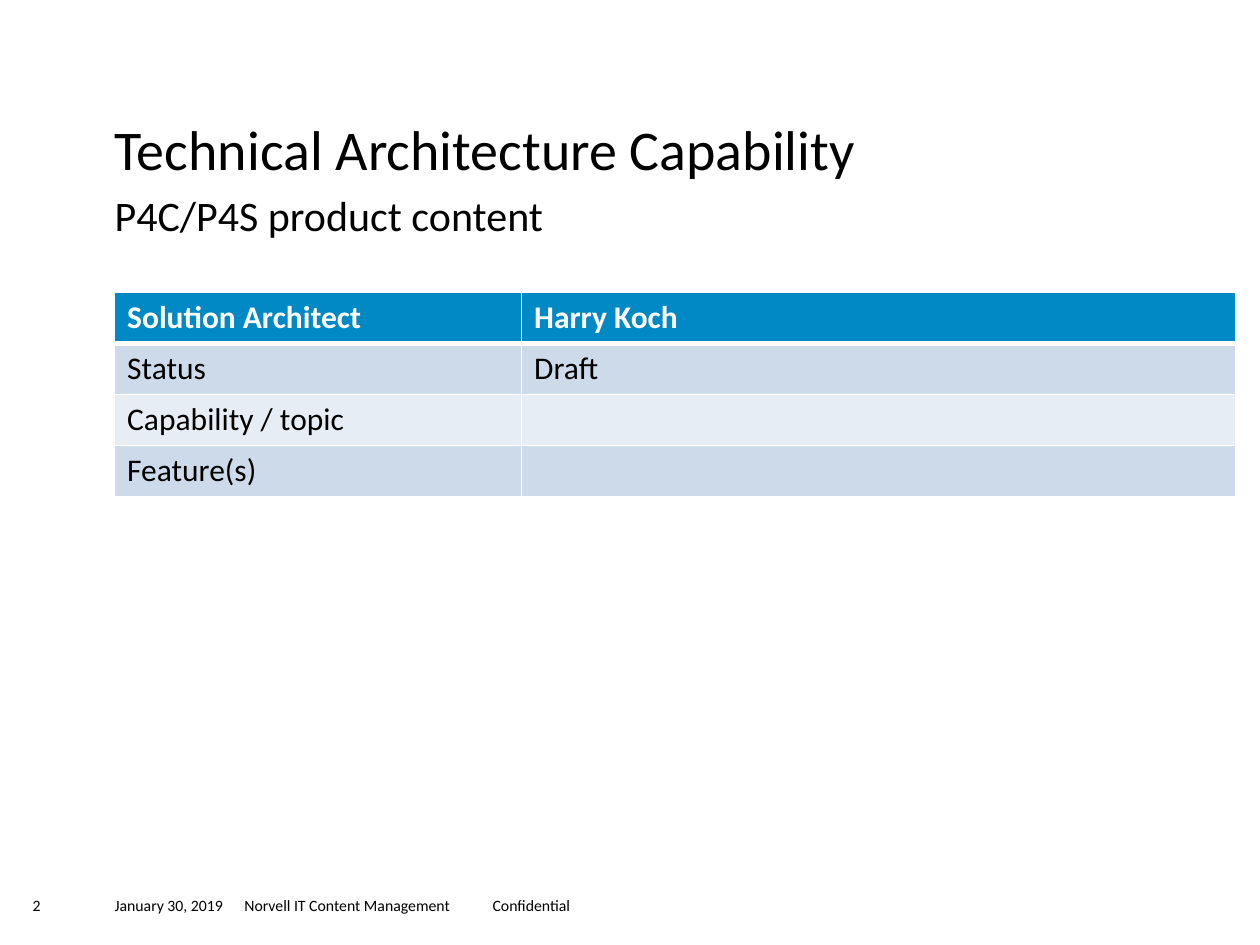
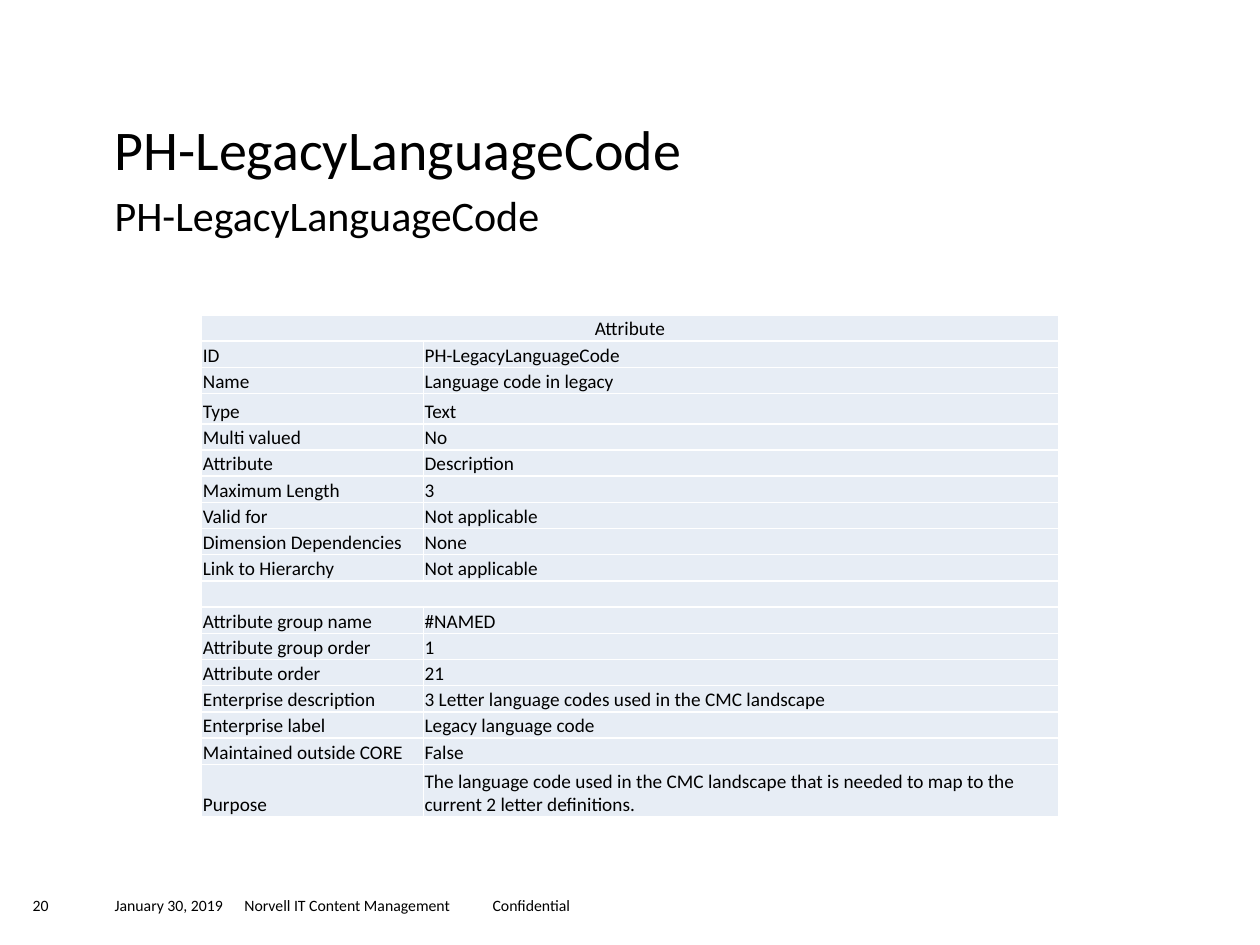
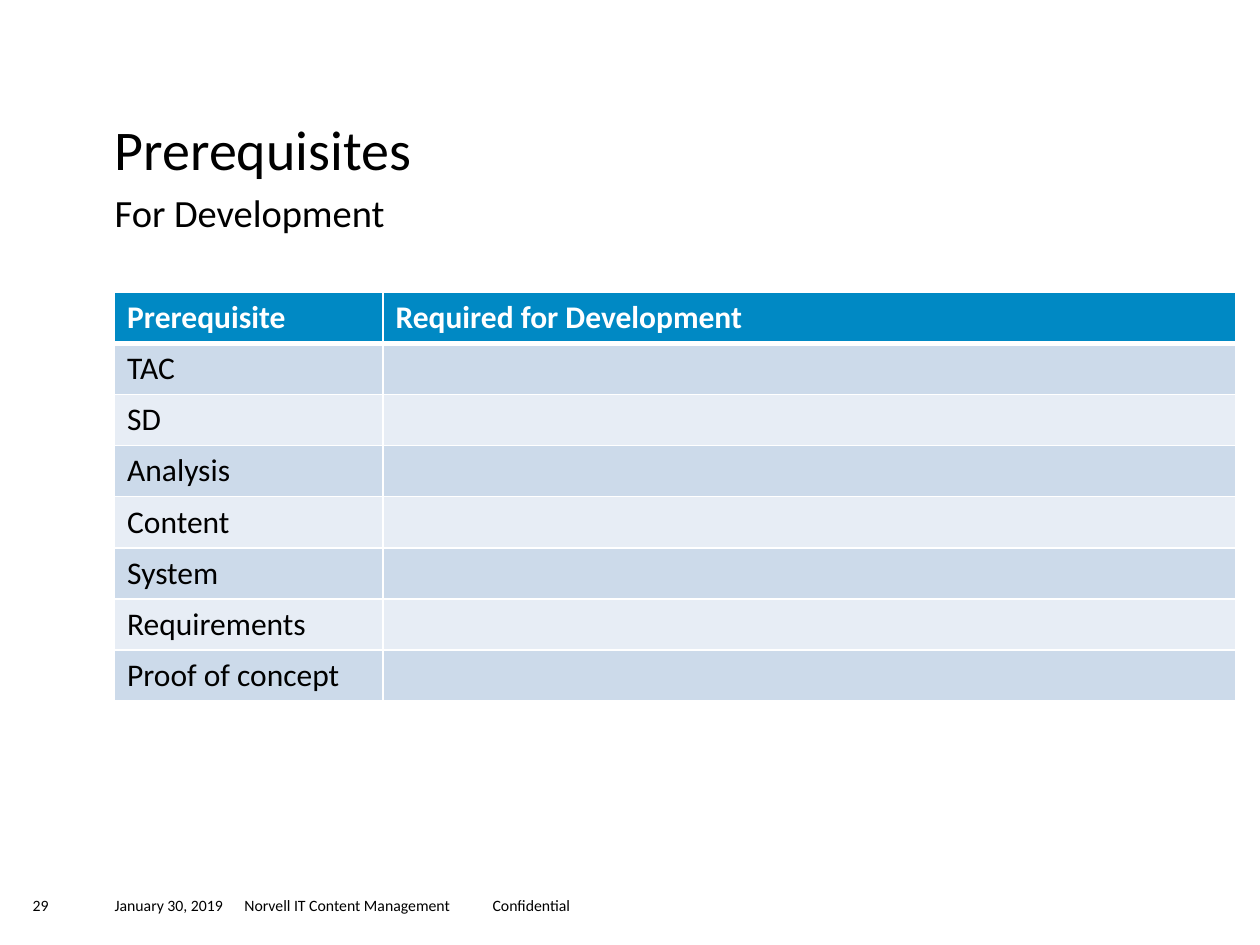
import pptx
import pptx.util
import pptx.dml.color
import pptx.enum.text
import pptx.oxml.ns
from lxml import etree

Inches = pptx.util.Inches
Pt = pptx.util.Pt
RGB = pptx.dml.color.RGBColor.from_string
qn = pptx.oxml.ns.qn
ANCHOR = pptx.enum.text.MSO_ANCHOR
ALIGN = pptx.enum.text.PP_ALIGN

FONT = "Calibri"
COLORS = {"text": "000000", "white": "FFFFFF", "head": "0089C4",
          "band": "CCDAEA", "light": "E7EDF5"}
LEFT = 0.91

slides = [
    {
        "number": "2", "title": "Technical Architecture Capability",
        "subtitle": "P4C/P4S product content", "subtitle_size": 24,
        "banded": True, "at": (LEFT, 2.32), "cols": (3.23, 5.67),
        "rows": [
            ("Solution Architect", "Harry Koch"),
            ("Status", "Draft"),
            ("Capability / topic", ""),
            ("Feature(s)", ""),
        ],
    },
    {
        "number": "20", "title": "PH-LegacyLanguageCode",
        "subtitle": "PH-LegacyLanguageCode", "subtitle_size": 24,
        "banded": False, "at": (1.6, 2.5), "cols": (1.76, 5.04),
        "rows": [
            ("Attribute",),
            ("ID", "PH-LegacyLanguageCode"),
            ("Name", "Language code in legacy"),
            ("Type", "Text"),
            ("Multi valued", "No"),
            ("Attribute", "Description"),
            ("Maximum Length", "3"),
            ("Valid for", "Not applicable"),
            ("Dimension Dependencies", "None"),
            ("Link to Hierarchy", "Not applicable"),
            ("",),
            ("Attribute group name", "#NAMED"),
            ("Attribute group order", "1"),
            ("Attribute order", "21"),
            ("Enterprise description",
             "3 Letter language codes used in the CMC landscape"),
            ("Enterprise label", "Legacy language code"),
            ("Maintained outside CORE", "False"),
            ("Purpose", "The language code used in the CMC landscape that is "
             "needed to map to the current 2 letter definitions."),
        ],
        "heights": {3: 0.24, 17: 0.42},
    },
    {
        "number": "29", "title": "Prerequisites",
        "subtitle": "For Development", "subtitle_size": 22,
        "banded": True, "at": (LEFT, 2.32), "cols": (2.13, 6.77),
        "rows": [("Prerequisite", "Required for Development")] + [
            (name, "") for name in ("TAC", "SD", "Analysis", "Content",
                                    "System", "Requirements",
                                    "Proof of concept")],
    },
]


def write(sp, box, text, size, tabs=()):
    sp.left, sp.top, sp.width, sp.height = [Inches(v) for v in box]
    tf = sp.text_frame
    tf.margin_left = tf.margin_right = tf.margin_top = tf.margin_bottom = 0
    tf.word_wrap = True
    tf.auto_size = pptx.enum.text.MSO_AUTO_SIZE.NONE
    tf.vertical_anchor = ANCHOR.TOP
    p = tf.paragraphs[0]
    p.alignment = ALIGN.LEFT
    if tabs:
        tab_list = etree.SubElement(p._p.get_or_add_pPr(), qn("a:tabLst"))
        for pos in tabs:
            etree.SubElement(tab_list, qn("a:tab"), pos=str(Inches(pos)), algn="l")
    r = p.add_run()
    r.text = text
    r.font.name, r.font.size = FONT, Pt(size)
    r.font.color.rgb = RGB(COLORS["text"])


def style_cell(cell, text, size, fill, header, top, bottom):
    tcPr = cell._tc.get_or_add_tcPr()
    for side, width in (("L", 1), ("R", 1), ("T", top), ("B", bottom)):
        ln = etree.SubElement(tcPr, qn("a:ln" + side), w=str(Pt(width)))
        solid = etree.SubElement(ln, qn("a:solidFill"))
        etree.SubElement(solid, qn("a:srgbClr"), val=COLORS["white"])
    cell.fill.solid()
    cell.fill.fore_color.rgb = RGB(COLORS[fill])
    p = cell.text_frame.paragraphs[0]
    if text:
        r = p.add_run()
        r.text = text
        r.font.name, r.font.size, r.font.bold = FONT, Pt(size), header
        r.font.color.rgb = RGB(COLORS["white" if header else "text"])
    else:
        etree.SubElement(p._p, qn("a:endParaRPr"), sz=str(size * 100))


prs = pptx.Presentation()
prs.slide_width, prs.slide_height = Inches(10), Inches(7.5)

for data in slides:
    s = prs.slides.add_slide(prs.slide_layouts[5])
    write(s.shapes.title, (LEFT, 0.91, 8.19, 0.56), data["title"], 32)
    texts = [
        ((LEFT, 1.5, 8.19, 0.41), data["subtitle"], data["subtitle_size"], ()),
        ((LEFT, 7.11, 4.96, 0.15),
         "January 30, 2019\tNorvell IT Content Management\tConfidential",
         9, (1.03, 3)),
        ((0.26, 7.11, 0.56, 0.16), data["number"], 9, ()),
    ]
    for box, text, size, tabs in texts:
        write(s.shapes.add_textbox(0, 0, 0, 0), box, text, size, tabs)

    rows, banded = data["rows"], data["banded"]
    row_height, size = (0.405, 18) if banded else (0.208, 11)
    x, y = data["at"]
    heights = [data.get("heights", {}).get(i, row_height) for i in range(len(rows))]
    table = s.shapes.add_table(len(rows), 2, Inches(x), Inches(y),
                               Inches(sum(data["cols"])), Inches(sum(heights))).table
    table.first_row = table.horz_banding = False
    for col, width in zip(table.columns, data["cols"]):
        col.width = Inches(width)
    for i, values in enumerate(rows):
        table.rows[i].height = Inches(heights[i])
        header = banded and i == 0
        fill = "head" if header else "band" if banded and i % 2 else "light"
        top = 3 if banded and i == 1 else 1
        for j in range(2):
            cell = table.cell(i, j)
            text = values[j] if j < len(values) else ""
            style_cell(cell, text, size, fill, header, top, 3 if header else 1)
            if not banded:
                cell.vertical_anchor = ANCHOR.BOTTOM
                cell.margin_left = cell.margin_right = cell.margin_top = Inches(0.01)
                cell.margin_bottom = 0
        if len(values) == 1:
            table.cell(i, 0).merge(table.cell(i, 1))
            table.cell(i, 0).text_frame.paragraphs[0].alignment = ALIGN.CENTER

prs.save("out.pptx")
